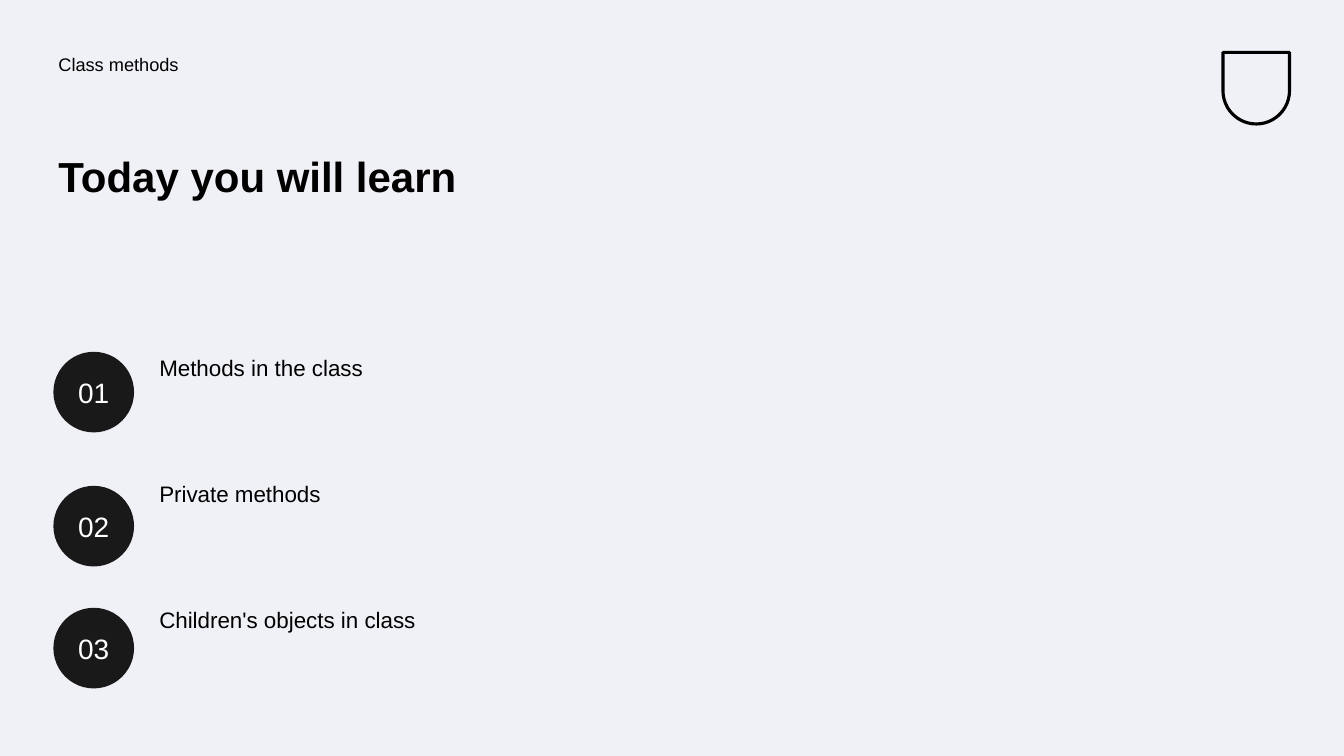
from pptx import Presentation
from pptx.dml.color import RGBColor
from pptx.enum.shapes import MSO_SHAPE
from pptx.enum.text import MSO_ANCHOR, PP_ALIGN
from pptx.util import Inches, Pt

BACKGROUND = RGBColor(0xF0, 0xF1, 0xF6)
BLACK = RGBColor(0x00, 0x00, 0x00)
CIRCLE = RGBColor(0x19, 0x19, 0x19)
NUMBER = RGBColor(0xFE, 0xFF, 0xFF)

FONT = "Arial"
LEFT = 0.53
CIRCLE_SIZE = 0.8
TEXT_OFFSET = 1.0
TOPICS_TOP = 3.49
TOPIC_STEP = 1.25
# Each topic: wording and the top of its circle
TOPICS = [
    ("Methods in the class", 3.49),
    ("Private methods", 4.82),
    ("Children's objects in class", 6.03),
]


def write(sp, text, size, color=BLACK, bold=False, align=PP_ALIGN.LEFT,
          anchor=MSO_ANCHOR.TOP, spacing=0.9):
    tf = sp.text_frame
    tf.word_wrap = True
    tf.vertical_anchor = anchor
    tf.margin_left = tf.margin_right = Inches(0.05)
    tf.margin_top = tf.margin_bottom = Inches(0.05)
    p = tf.paragraphs[0]
    p.alignment = align
    p.line_spacing = spacing
    r = p.add_run()
    r.text = text
    r.font.name = FONT
    r.font.size = Pt(size)
    r.font.bold = bold
    r.font.color.rgb = color


def add_text(slide, x, y, w, h, text, size):
    sp = slide.shapes.add_textbox(Inches(x), Inches(y), Inches(w), Inches(h))
    write(sp, text, size)


def add_title(slide, x, y, w, h, text):
    title = slide.shapes.title
    title.left, title.top = Inches(x), Inches(y)
    title.width, title.height = Inches(w), Inches(h)
    write(title, text, 30, bold=True)


def add_shield(slide, x, y, w, h):
    sp = slide.shapes.add_shape(MSO_SHAPE.ROUND_2_SAME_RECTANGLE,
                                Inches(x), Inches(y), Inches(w), Inches(h))
    sp.adjustments[0] = 0
    sp.adjustments[1] = 0.5
    sp.shadow.inherit = False
    sp.fill.background()
    sp.line.color.rgb = BLACK
    sp.line.width = Pt(2.25)


def add_number(slide, x, y, size, number):
    sp = slide.shapes.add_shape(MSO_SHAPE.OVAL, Inches(x), Inches(y),
                                Inches(size), Inches(size))
    sp.shadow.inherit = False
    sp.fill.solid()
    sp.fill.fore_color.rgb = CIRCLE
    sp.line.fill.background()
    write(sp, f"{number:02d}", 20, NUMBER, align=PP_ALIGN.CENTER,
          anchor=MSO_ANCHOR.MIDDLE, spacing=1.0)


def add_topics(slide, x, y):
    for i, (topic, circle_top) in enumerate(TOPICS):
        add_number(slide, x, circle_top, CIRCLE_SIZE, i + 1)
        add_text(slide, x + TEXT_OFFSET, y + i * TOPIC_STEP, 4.63, 0.99, topic, 16)


def main():
    prs = Presentation()
    prs.slide_width, prs.slide_height = Inches(13.33), Inches(7.5)
    slide = prs.slides.add_slide(prs.slide_layouts[5])
    slide.background.fill.solid()
    slide.background.fill.fore_color.rgb = BACKGROUND
    add_shield(slide, 12.13, 0.52, 0.66, 0.71)
    add_text(slide, LEFT, 0.5, 6.14, 0.5, "Class methods", 13)
    add_title(slide, LEFT, 1.5, 5.64, 1.49, "Today you will learn")
    add_topics(slide, LEFT, TOPICS_TOP)
    prs.save("out.pptx")


if __name__ == "__main__":
    main()
